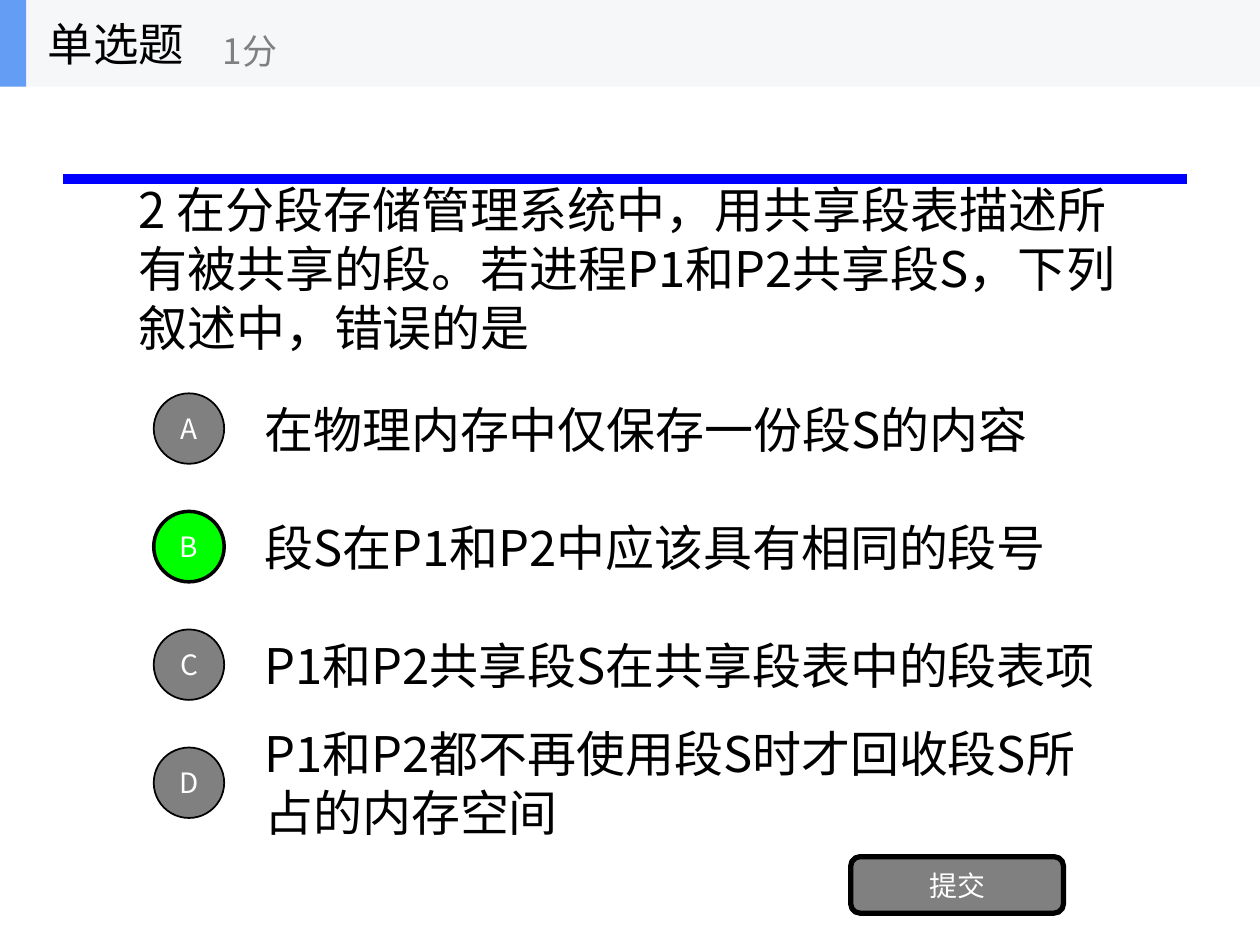
from lxml.etree import SubElement
from pptx import Presentation
from pptx.dml.color import RGBColor
from pptx.enum.shapes import MSO_CONNECTOR, MSO_SHAPE
from pptx.enum.text import MSO_ANCHOR, PP_ALIGN
from pptx.oxml.ns import qn
from pptx.util import Cm, Pt

FONT = "Noto Sans CJK SC"
BLACK = RGBColor(0x00, 0x00, 0x00)
WHITE = RGBColor(0xFF, 0xFF, 0xFF)
GRAY = RGBColor(0x80, 0x80, 0x80)
GREEN = RGBColor(0x00, 0xFF, 0x00)
BLUE = RGBColor(0x00, 0x00, 0xFF)
HEADER = RGBColor(0xF6, 0xF7, 0xF8)
ACCENT = RGBColor(0x63, 0x9E, 0xF4)

QUESTION = "2 在分段存储管理系统中，用共享段表描述所有被共享的段。若进程P1和P2共享段S，下列叙述中，错误的是"
OPTIONS = [
    ("A", "在物理内存中仅保存一份段S的内容", 17.78),
    ("B", "段S在P1和P2中应该具有相同的段号", 19.02),
    ("C", "P1和P2共享段S在共享段表中的段表项", 19.63),
    ("D", "P1和P2都不再使用段S时才回收段S所占的内存空间", 17.78),
]
ANSWER = "B"
FIRST_CENTER, PITCH = 8.64, 2.38
CIRCLE, OPTION_HEIGHT = 1.42, 1.78


def write(tf, text, size, color, align=PP_ALIGN.LEFT):
    tf.word_wrap = True
    tf.vertical_anchor = MSO_ANCHOR.MIDDLE
    p = tf.paragraphs[0]
    p.text = text
    p.alignment = align
    p.font.size = Pt(size)
    p.font.color.rgb = color
    p.font.name = FONT
    SubElement(p.font._element, qn("a:ea"), typeface=FONT)


def add_text(s, x, y, w, h, text, size, color=BLACK):
    sp = s.shapes.add_textbox(Cm(x), Cm(y), Cm(w), Cm(h))
    write(sp.text_frame, text, size, color)
    return sp


def add_block(s, kind, x, y, w, h, fill, line=0, text=""):
    sp = s.shapes.add_shape(kind, Cm(x), Cm(y), Cm(w), Cm(h))
    sp.shadow.inherit = False
    sp.fill.solid()
    sp.fill.fore_color.rgb = fill
    if line:
        sp.line.color.rgb = BLACK
        sp.line.width = Pt(line)
    else:
        sp.line.fill.background()
    if text:
        write(sp.text_frame, text, 16, WHITE, PP_ALIGN.CENTER)


def add_rule(s, x1, x2, y):
    line = s.shapes.add_connector(
        MSO_CONNECTOR.STRAIGHT, Cm(x1), Cm(y), Cm(x2), Cm(y))
    line.line.color.rgb = BLUE
    line.line.width = Pt(6)
    SubElement(line._element.spPr, qn("a:effectLst"))


def add_option(s, index, letter, text, width):
    center = FIRST_CENTER + index * PITCH
    add_text(s, 5.08, center - OPTION_HEIGHT / 2, width, OPTION_HEIGHT, text, 28)
    correct = letter == ANSWER
    add_block(s, MSO_SHAPE.OVAL, 3.1, center - CIRCLE / 2, CIRCLE, CIRCLE,
              GREEN if correct else GRAY, 2 if correct else 1, letter)


def add_header(s):
    add_block(s, MSO_SHAPE.RECTANGLE, 0, 0, 25.4, 1.75, HEADER)
    add_block(s, MSO_SHAPE.RECTANGLE, 0, 0, 0.53, 1.75, ACCENT)
    add_text(s, 0.71, 0, 5.28, 1.75, "单选题", 26)
    add_text(s, 4.24, 0.3, 6.35, 1.42, "1分", 20, GRAY)


def main():
    prs = Presentation()
    prs.slide_width, prs.slide_height = Cm(25.4), Cm(19.05)
    s = prs.slides.add_slide(prs.slide_layouts[6])
    add_rule(s, 1.27, 23.93, 3.61)
    question = add_text(s, 2.54, 3.12, 20.96, 5.74, QUESTION, 28)
    question.text_frame.margin_bottom = Cm(1.31)
    for i, option in enumerate(OPTIONS):
        add_option(s, i, *option)
    add_block(s, MSO_SHAPE.ROUNDED_RECTANGLE, 17.15, 17.27, 4.29, 1.14,
              GRAY, 3, "提交")
    add_header(s)
    prs.save("out.pptx")


if __name__ == "__main__":
    main()
